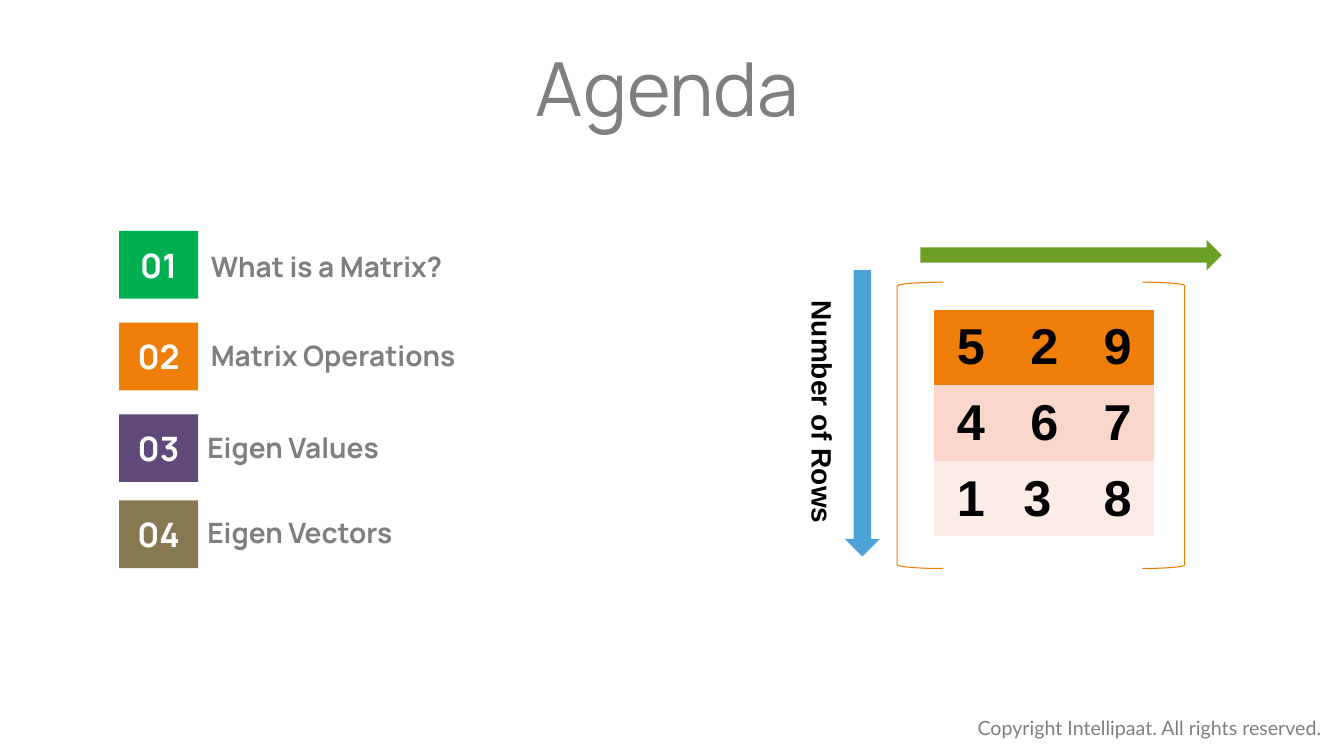
from dataclasses import dataclass

from pptx import Presentation
from pptx.dml.color import RGBColor
from pptx.enum.shapes import MSO_SHAPE as Preset
from pptx.enum.text import MSO_ANCHOR as Anchor, PP_ALIGN as Align
from pptx.oxml.ns import qn
from pptx.util import Pt

NO_GRID_STYLE = "{2D5ABB26-0587-4C30-8999-92F81FD0307C}"


@dataclass(frozen=True)
class Theme:
    heading_font: str = "Manrope"
    footer_font: str = "Lato"
    matrix_font: str = "Arial"
    title_size: float = 53.3
    number_size: float = 24
    label_size: float = 20
    footer_size: float = 14
    matrix_size: float = 36
    gray: str = "7F7F7F"
    white: str = "FFFFFF"
    black: str = "000000"
    bracket: str = "EF7C02"
    column_arrow: str = "6B9F25"
    row_arrow: str = "4DA3D8"
    tiles: tuple = ("00B050", "F07F09", "604878", "877852")
    matrix_rows: tuple = ("F07F09", "F9D7CA", "FCECE6")


class SlideBuilder:
    def __init__(self, slide, theme):
        self.slide = slide
        self.theme = theme

    def add_words(self, frame, text, font, size, color, bold=False, align=Align.LEFT):
        paragraph = frame.paragraphs[0]
        paragraph.alignment = align
        run = paragraph.add_run()
        run.text = text
        run.font.name = font
        run.font.size = Pt(size)
        run.font.bold = bold
        run.font.color.rgb = RGBColor.from_string(color)
        return paragraph

    def title(self, text, box):
        title = self.slide.shapes.title
        title.left, title.top, title.width, title.height = map(Pt, box)
        frame = title.text_frame
        frame.vertical_anchor = Anchor.TOP
        frame.margin_left = 0
        paragraph = self.add_words(frame, text, self.theme.heading_font,
                                   self.theme.title_size, self.theme.gray, align=Align.CENTER)
        paragraph.line_spacing = 0.9

    def text(self, text, box, font, size, color, rotation=0, **style):
        textbox = self.slide.shapes.add_textbox(*map(Pt, box))
        textbox.rotation = rotation
        textbox.text_frame.word_wrap = True
        self.add_words(textbox.text_frame, text, font, size, color, **style)

    def block(self, preset, box, color):
        """Add a filled shape without an outline."""
        block = self.slide.shapes.add_shape(preset, *map(Pt, box))
        block.shadow.inherit = False
        block.fill.solid()
        block.fill.fore_color.rgb = RGBColor.from_string(color)
        block.line.fill.background()
        return block

    def number_tile(self, number, box, color):
        frame = self.block(Preset.RECTANGLE, box, color).text_frame
        frame.vertical_anchor = Anchor.MIDDLE
        self.add_words(frame, f"{number:02}", self.theme.heading_font, self.theme.number_size,
                       self.theme.white, bold=True, align=Align.CENTER)

    def bracket(self, preset, box):
        bracket = self.slide.shapes.add_shape(preset, *map(Pt, box))
        bracket.shadow.inherit = False
        bracket.adjustments[0] = 0.083
        bracket.fill.background()
        bracket.line.color.rgb = RGBColor.from_string(self.theme.bracket)
        bracket.line.width = Pt(0.75)

    def matrix(self, values, left, top, column_width, row_height):
        rows, columns = len(values), len(values[0])
        table = self.slide.shapes.add_table(
            rows, columns, Pt(left), Pt(top),
            Pt(columns * column_width), Pt(rows * row_height)).table
        table._tbl.tblPr.find(qn("a:tableStyleId")).text = NO_GRID_STYLE
        for r, (row, color) in enumerate(zip(values, self.theme.matrix_rows)):
            for c, value in enumerate(row):
                cell = table.cell(r, c)
                cell.vertical_anchor = Anchor.MIDDLE
                cell.fill.solid()
                cell.fill.fore_color.rgb = RGBColor.from_string(color)
                self.add_words(cell.text_frame, value, self.theme.matrix_font,
                               self.theme.matrix_size, self.theme.black,
                               bold=True, align=Align.CENTER)


def main():
    presentation = Presentation()
    presentation.slide_width, presentation.slide_height = Pt(960), Pt(540)
    theme = Theme()
    title_only = presentation.slide_layouts[5]
    page = SlideBuilder(presentation.slides.add_slide(title_only), theme)

    page.text("Copyright Intellipaat. All rights reserved.", (691.2, 507.6, 267.2, 24.5),
              theme.footer_font, theme.footer_size, theme.gray)
    page.title("Agenda", (262, 33.8, 437, 60.5))

    # Topic, tile top, label left, label top
    agenda = [
        ("What is a Matrix?", 165, 143.5, 175),
        ("Matrix Operations", 230.5, 143.5, 238.5),
        ("Eigen Values", 296, 141, 304),
        ("Eigen Vectors", 357.5, 141, 365),
    ]
    for number, (topic, tile_top, label_left, label_top) in enumerate(agenda, 1):
        page.number_tile(number, (85, tile_top, 56.5, 48.3), theme.tiles[number - 1])
        page.text(topic, (label_left, label_top, 260, 31.5), theme.heading_font,
                  theme.label_size, theme.gray, bold=True)

    page.bracket(Preset.LEFT_BRACKET, (640.8, 201.6, 33, 204.5))
    page.bracket(Preset.RIGHT_BRACKET, (816, 201.6, 30.2, 204.5))
    page.matrix([("5", "2", "9"), ("4", "6", "7"), ("1", "3 ", "8")], 667.4, 221.2, 52.4, 54)
    page.block(Preset.RIGHT_ARROW, (657.4, 171.4, 215.3, 21.6), theme.column_arrow)
    page.block(Preset.DOWN_ARROW, (603.4, 193, 25.2, 204.5), theme.row_arrow)
    page.text("Number of Rows", (481.7, 278.6, 211.7, 31.5), theme.matrix_font,
              theme.label_size, theme.black, rotation=90, bold=True, align=Align.CENTER)

    presentation.save("out.pptx")


if __name__ == "__main__":
    main()
